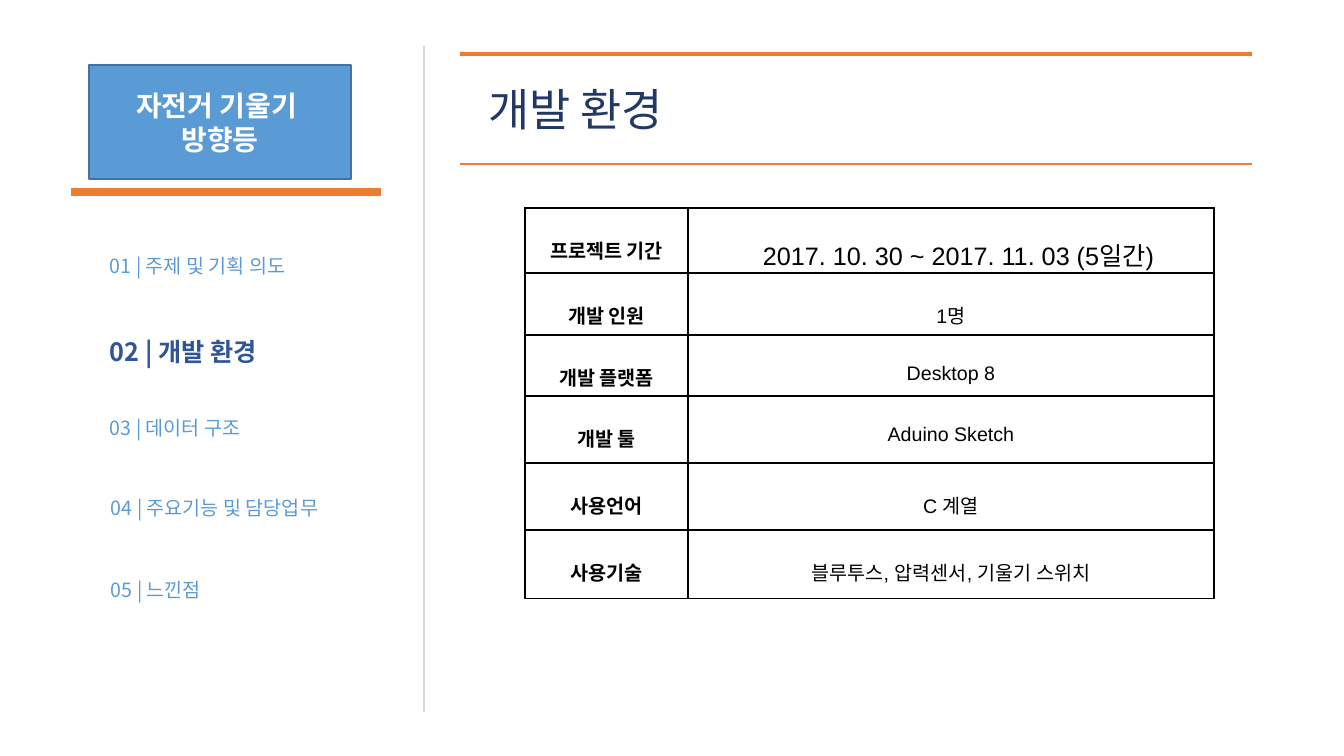
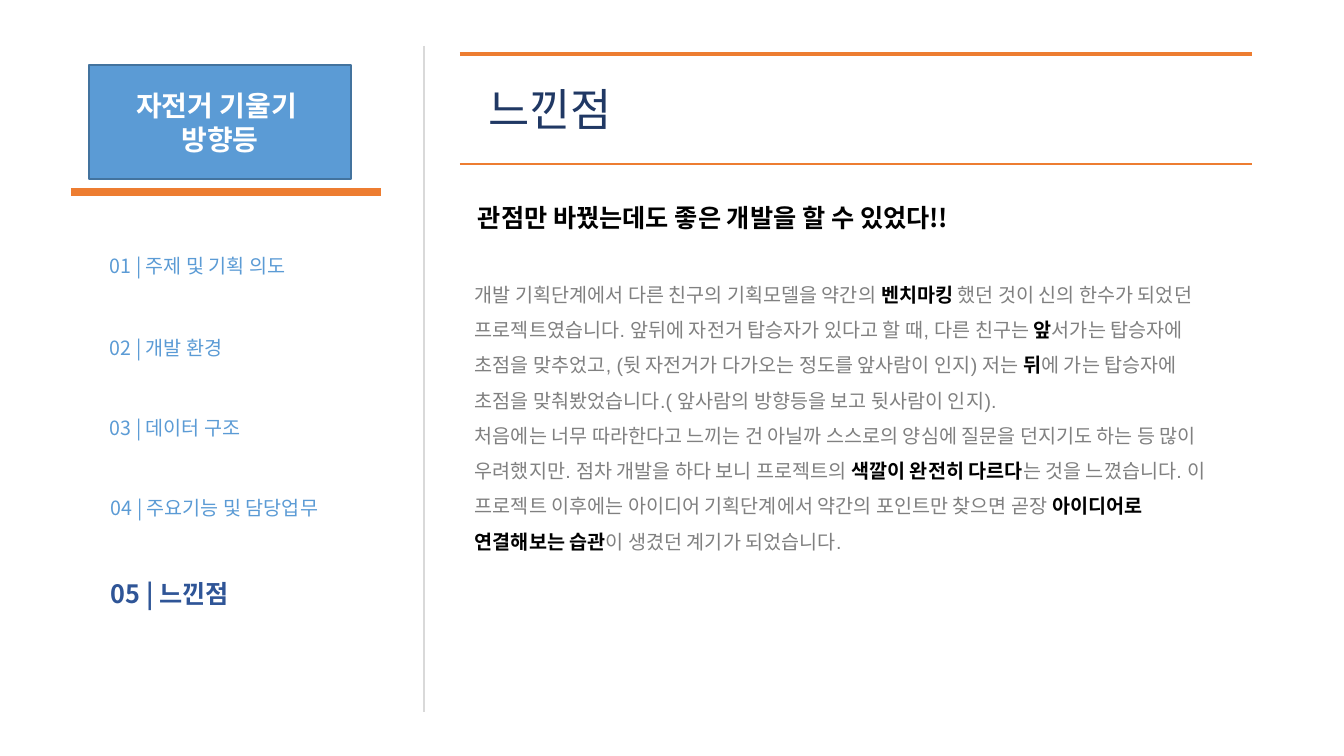
from lxml import etree
from pptx import Presentation
from pptx.dml.color import RGBColor
from pptx.enum.shapes import MSO_CONNECTOR, MSO_SHAPE
from pptx.enum.text import MSO_ANCHOR, MSO_AUTO_SIZE, PP_ALIGN
from pptx.oxml import parse_xml
from pptx.oxml.ns import nsdecls, qn
from pptx.util import Emu, Pt

PX = 914400 / 100.8
KOREAN, LATIN = "Noto Sans CJK KR", "Arial"
ORANGE, BLUE, DARK_BLUE, NAVY = "ED7D31", "5B9BD5", "2F5597", "203864"
GREY, BLACK, WHITE = "808080", "000000", "FFFFFF"


def px(*lengths):
    """Turn lengths in px into a list of EMU."""
    return [Emu(round(n * PX)) for n in lengths]


def style(p, size, color, bold=False, name=KOREAN):
    """Format every run of a paragraph, East Asian font included."""
    for r in p.runs:
        r.font.size = Pt(size)
        r.font.bold = bold
        r.font.color.rgb = RGBColor.from_string(color)
        r.font.name = name
        etree.SubElement(r.font._element, qn("a:ea"), typeface=KOREAN)


# x1, y1, x2, y2, colour, width in points
RULES = [
    (424, 46, 424, 712, "D9D9D9", 1),
    (71, 192, 381, 192, ORANGE, 6),
    (460, 54, 1252, 54, ORANGE, 3.25),
    (460, 164, 1252, 164, ORANGE, 1),
]
# left, top, text
MENU = [
    (100, 249, "01 | 주제 및 기획 의도"),
    (100, 331, "02 | 개발 환경"),
    (100, 411, "03 | 데이터 구조"),
    (101, 491, "04 | 주요기능 및 담당업무"),
    (101, 573, "05 | 느낀점"),
]
TITLES = [("개발 환경", 1), ("느낀점", 4)]

prs = Presentation()
prs.slide_width, prs.slide_height = px(1344, 756)

for title, current in TITLES:
    s = prs.slides.add_slide(prs.slide_layouts[5])
    for x1, y1, x2, y2, color, width in RULES:
        line = s.shapes.add_connector(MSO_CONNECTOR.STRAIGHT, *px(x1, y1, x2, y2))
        line.line.color.rgb = RGBColor.from_string(color)
        line.line.width = Pt(width)
        etree.SubElement(line._element.spPr, qn("a:effectLst"))

    sp = s.shapes.title
    sp.left, sp.top, sp.width, sp.height = px(478, 77, 760, 65)
    tf = sp.text_frame
    tf.text = title
    tf.auto_size = MSO_AUTO_SIZE.NONE
    tf.vertical_anchor = MSO_ANCHOR.TOP
    tf.paragraphs[0].alignment = PP_ALIGN.LEFT
    style(tf.paragraphs[0], 32, NAVY)

    for i, (left, top, text) in enumerate(MENU):
        tf = s.shapes.add_textbox(*px(left, top, 300, 40 if i == current else 34)).text_frame
        tf.word_wrap = True
        tf.text = text
        if i == current:
            style(tf.paragraphs[0], 18, DARK_BLUE, bold=True)
        else:
            style(tf.paragraphs[0], 14, BLUE)

    sp = s.shapes.add_shape(MSO_SHAPE.RECTANGLE, *px(89, 65, 262, 114))
    sp.shadow.inherit = False
    sp.fill.solid()
    sp.fill.fore_color.rgb = RGBColor.from_string(BLUE)
    sp.line.color.rgb = RGBColor.from_string("43739E")
    sp.line.width = Pt(1)
    tf = sp.text_frame
    tf.vertical_anchor = MSO_ANCHOR.MIDDLE
    tf.text = "자전거 기울기 \n방향등"
    for p in tf.paragraphs:
        p.alignment = PP_ALIGN.CENTER
        style(p, 20, WHITE, bold=True)

environment, impressions = prs.slides

# Development environment: table
ROWS = [
    (65, "프로젝트 기간", "2017. 10. 30 ~ 2017. 11. 03 (5일간)"),
    (62, "개발 인원", "1명"),
    (61, "개발 플랫폼", "Desktop 8"),
    (67, "개발 툴", "Aduino Sketch"),
    (67, "사용언어", "C 계열"),
    (69, "사용기술", "블루투스, 압력센서, 기울기 스위치"),
]
table = environment.shapes.add_table(len(ROWS), 2, *px(525, 208, 689, 391)).table
table.first_row = table.horz_banding = False
table.columns[0].width, table.columns[1].width = px(163, 526)
for i, (height, *texts) in enumerate(ROWS):
    table.rows[i].height = px(height)[0]
    for j, text in enumerate(texts):
        cell = table.cell(i, j)
        period = i == 0 and j == 1
        cell.margin_left, cell.margin_top, cell.margin_right, cell.margin_bottom = px(
            22 if period else 7, 28, 7, 0)
        cell.text = text
        p = cell.text_frame.paragraphs[0]
        p.alignment = PP_ALIGN.CENTER
        style(p, 18 if period else 14, BLACK, bold=j == 0, name=LATIN)
        tcPr = cell._tc.get_or_add_tcPr()
        for side in ("lnL", "lnR", "lnT", "lnB"):
            tcPr.append(parse_xml(
                f'<a:{side} {nsdecls("a")} w="12700"><a:solidFill>'
                f'<a:srgbClr val="{BLACK}"/></a:solidFill></a:{side}>'))
        cell.fill.background()

# Impressions: headline and body, with every second piece emphasised
tf = impressions.shapes.add_textbox(*px(468, 197, 707, 40)).text_frame
tf.word_wrap = True
tf.text = "관점만 바꿨는데도 좋은 개발을 할 수 있었다!!"
style(tf.paragraphs[0], 18, BLACK, bold=True)

BODY = [
    ["개발 기획단계에서 다른 친구의 기획모델을 약간의 ",
     "벤치마킹",
     " 했던 것이 신의 한수가 되었던 프로젝트였습니다. 앞뒤에 자전거 탑승자가 있다고 할 때, 다른 친구는 ",
     "앞",
     "서가는 탑승자에 초점을 맞추었고, (뒷 자전거가 다가오는 정도를 앞사람이 인지) 저는 ",
     "뒤",
     "에 가는 탑승자에 초점을 맞춰봤었습니다.( 앞사람의 방향등을 보고 뒷사람이 인지)."],
    ["처음에는 너무 따라한다고 느끼는 건 아닐까 스스로의 양심에 질문을 던지기도 하는 등 많이 우려했지만. "
     "점차 개발을 하다 보니 프로젝트의 ",
     "색깔이 완전히 다르다",
     "는 것을 느꼈습니다. 이 프로젝트 이후에는 아이디어 기획단계에서 약간의 포인트만 찾으면 곧장 ",
     "아이디어로 연결해보는 습관",
     "이 생겼던 계기가 되었습니다."],
]
tf = impressions.shapes.add_textbox(*px(465, 266, 779, 295)).text_frame
tf.word_wrap = True
for i, pieces in enumerate(BODY):
    p = tf.add_paragraph() if i else tf.paragraphs[0]
    p.line_spacing = 1.5
    for piece in pieces:
        p.add_run().text = piece
    style(p, 14, GREY, name=LATIN)
    for r in p.runs[1::2]:
        r.font.bold = True
        r.font.color.rgb = RGBColor.from_string(BLACK)

prs.save("out.pptx")
